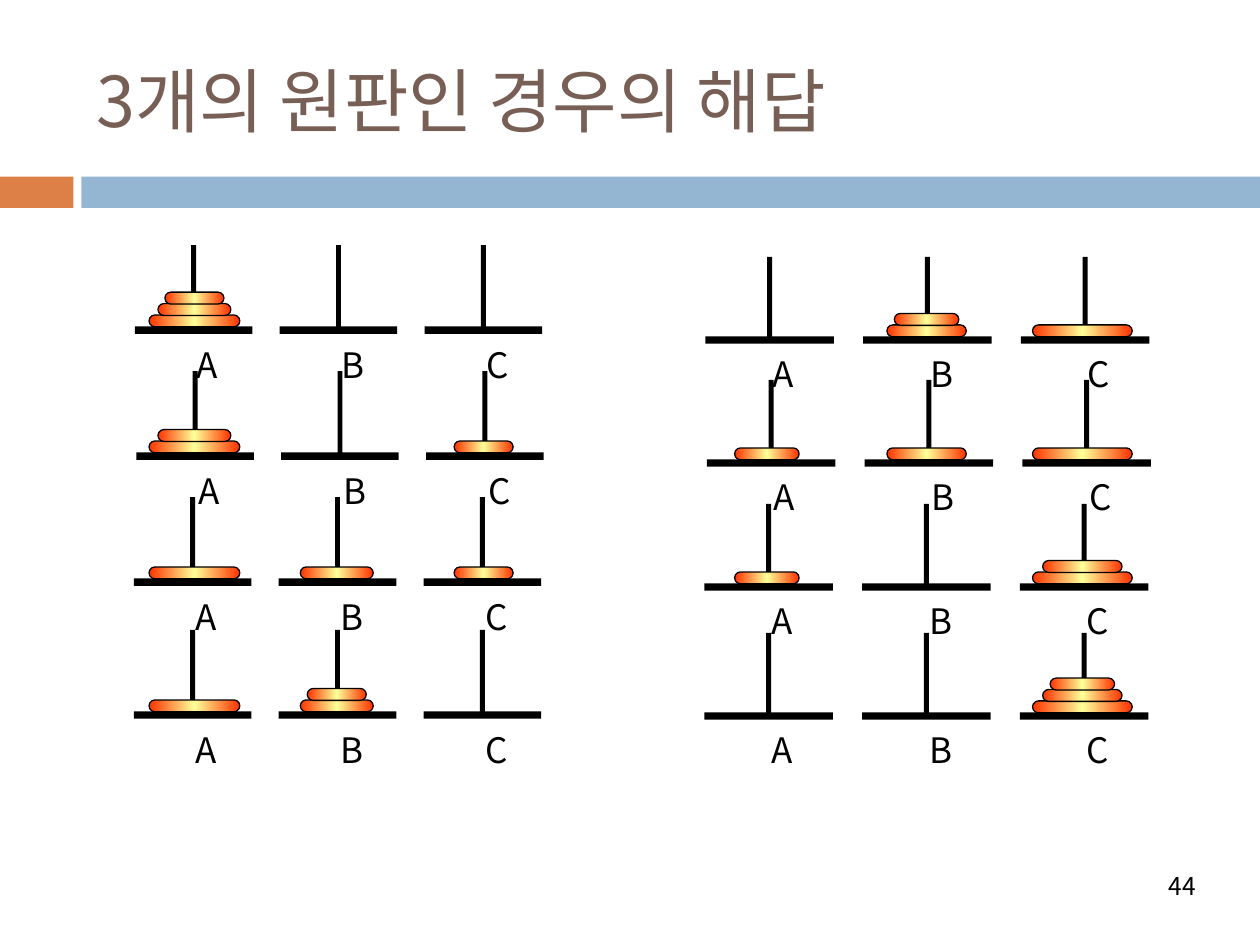
import copy
import dataclasses

import pptx
import pptx.dml.color
import pptx.enum.shapes
import pptx.enum.text
import pptx.oxml
import pptx.oxml.ns
import pptx.util
from lxml import etree

Cm = pptx.util.Cm
Kind = pptx.enum.shapes.MSO_SHAPE
Align = pptx.enum.text.PP_ALIGN
qn = pptx.oxml.ns.qn


@dataclasses.dataclass(frozen=True)
class Theme:
    font: str = "Noto Sans CJK KR"
    ink: str = "000000"
    title: str = "775F55"
    accent: str = "DD8047"
    band: str = "94B6D2"
    edge: str = "FF3300"
    glow: str = "FFFF99"
    large: int = 40
    mid: int = 20
    small: int = 14


@dataclasses.dataclass(frozen=True)
class Side:
    """One column of boards, in centimetres; disks run from small to big."""
    rows: tuple     # left, top and the disks on A, B, C from the bottom up
    pitch: float    # from one peg to the next
    base: float     # width of a base
    pole: float     # height of a pole
    drop: float     # from pole top to base
    label: tuple    # offset of a letter from base left and pole top
    mids: tuple     # centre of the disks on each peg
    disks: tuple    # disk widths
    whole: bool     # one group for the column, else one for each peg


LEFT = Side(
    rows=((2.72, 4.94, ("210", "", "")), (2.75, 7.48, ("21", "", "0")),
          (2.70, 10.02, ("2", "1", "0")), (2.70, 12.70, ("2", "10", ""))),
    pitch=2.92, base=2.37, pole=1.73, drop=1.64, label=(1.0, 1.86),
    mids=(3.92, 6.79, 9.75), disks=(1.19, 1.47, 1.83), whole=False)
RIGHT = Side(
    rows=((14.22, 5.18, ("", "10", "2")), (14.25, 7.66, ("0", "1", "2")),
          (14.20, 10.16, ("0", "", "21")), (14.20, 12.76, ("", "", "210"))),
    pitch=3.18, base=2.59, pole=1.68, drop=1.60, label=(1.1, 1.8),
    mids=(15.46, 18.68, 21.82), disks=(1.30, 1.60, 2.01), whole=True)

PEGS = (("A", 1.02), ("B", 0.95), ("C", 0.99))
BAR = 0.15
ROD = 0.1
DISK = 0.24
STEP = 0.23


def rgb(code):
    return pptx.dml.color.RGBColor.from_string(code)


class Pen:
    def __init__(self, slide, theme):
        self.slide = slide
        self.theme = theme

    def block(self, host, box, color):
        shape = host.add_shape(Kind.RECTANGLE, *map(Cm, box))
        shape.shadow.inherit = False
        shape.fill.solid()
        shape.fill.fore_color.rgb = rgb(color)
        shape.line.fill.background()

    def disk(self, host, box):
        shape = host.add_shape(Kind.ROUNDED_RECTANGLE, *map(Cm, box))
        shape.adjustments[0] = 0.5
        shape.shadow.inherit = False
        shape.fill.gradient()
        shape.fill.gradient_angle = 0
        stops = next(shape._element.iter(qn("a:gsLst")))
        stops.append(copy.deepcopy(stops[0]))
        tones = (self.theme.edge, self.theme.glow, self.theme.edge)
        for i, (stop, tone) in enumerate(zip(shape.fill.gradient_stops, tones)):
            stop.position = i / 2
            stop.color.rgb = rgb(tone)
        shape.line.color.rgb = rgb(self.theme.ink)
        shape.line.width = pptx.util.Pt(0.75)

    def text(self, host, box, words, size, color, wrap=True, align=Align.LEFT):
        """Wrapped text sits in the middle; other text sizes its own box."""
        frame = host.add_textbox(*map(Cm, box)).text_frame
        frame.word_wrap = wrap
        if wrap:
            frame.vertical_anchor = pptx.enum.text.MSO_ANCHOR.MIDDLE
        else:
            frame.auto_size = pptx.enum.text.MSO_AUTO_SIZE.SHAPE_TO_FIT_TEXT
        para = frame.paragraphs[0]
        para.alignment = align
        run = para.add_run()
        run.text = words
        run.font.size = pptx.util.Pt(size)
        run.font.color.rgb = rgb(color)
        run.font.name = self.theme.font
        east = etree.SubElement(run._r.get_or_add_rPr(), qn("a:ea"))
        east.set("typeface", self.theme.font)

    def peg(self, host, side, left, top):
        ink = self.theme.ink
        self.block(host, (left, top + side.drop, side.base, BAR), ink)
        self.block(host, (left + (side.base - ROD) / 2, top, ROD, side.pole), ink)

    def board(self, host, side, left, top, stacks):
        """Three pegs with their disks and letters."""
        spots = [left + i * side.pitch for i in range(len(PEGS))]
        for x in spots:
            hub = host if side.whole else host.add_group_shape().shapes
            self.peg(hub, side, x, top)
        for mid, stack in zip(side.mids, stacks):
            for level, size in enumerate(stack, 1):
                width = side.disks[int(size)]
                y = top + side.drop - level * STEP
                self.disk(host, (mid - width / 2, y, width, DISK))
        dx, dy = side.label
        for x, (name, width) in zip(spots, PEGS):
            self.text(host, (x + dx, top + dy, width, 1.09), name,
                      self.theme.mid, self.theme.ink, wrap=False)

    def column(self, side):
        host = self.slide.shapes
        if side.whole:
            host = host.add_group_shape().shapes
        for row in side.rows:
            self.board(host, side, *row)


def main():
    deck = pptx.Presentation()
    deck.slide_width, deck.slide_height = Cm(25.4), Cm(19.05)
    theme = Theme()
    pen = Pen(deck.slides.add_slide(deck.slide_layouts[6]), theme)
    page = pen.slide.shapes
    pen.block(page, (0, 3.56, 1.48, 0.63), theme.accent)
    pen.block(page, (1.64, 3.56, 23.76, 0.63), theme.band)
    pen.column(LEFT)
    pen.text(page, (1.7, 0.64, 22.66, 2.74), "3개의 원판인 경우의 해답",
             theme.large, theme.title)
    pen.column(RIGHT)
    pen.text(page, (17.3, 17.35, 7.06, 1.02), "44", theme.small, theme.ink,
             align=Align.RIGHT)
    deck.save("out.pptx")


if __name__ == "__main__":
    main()
